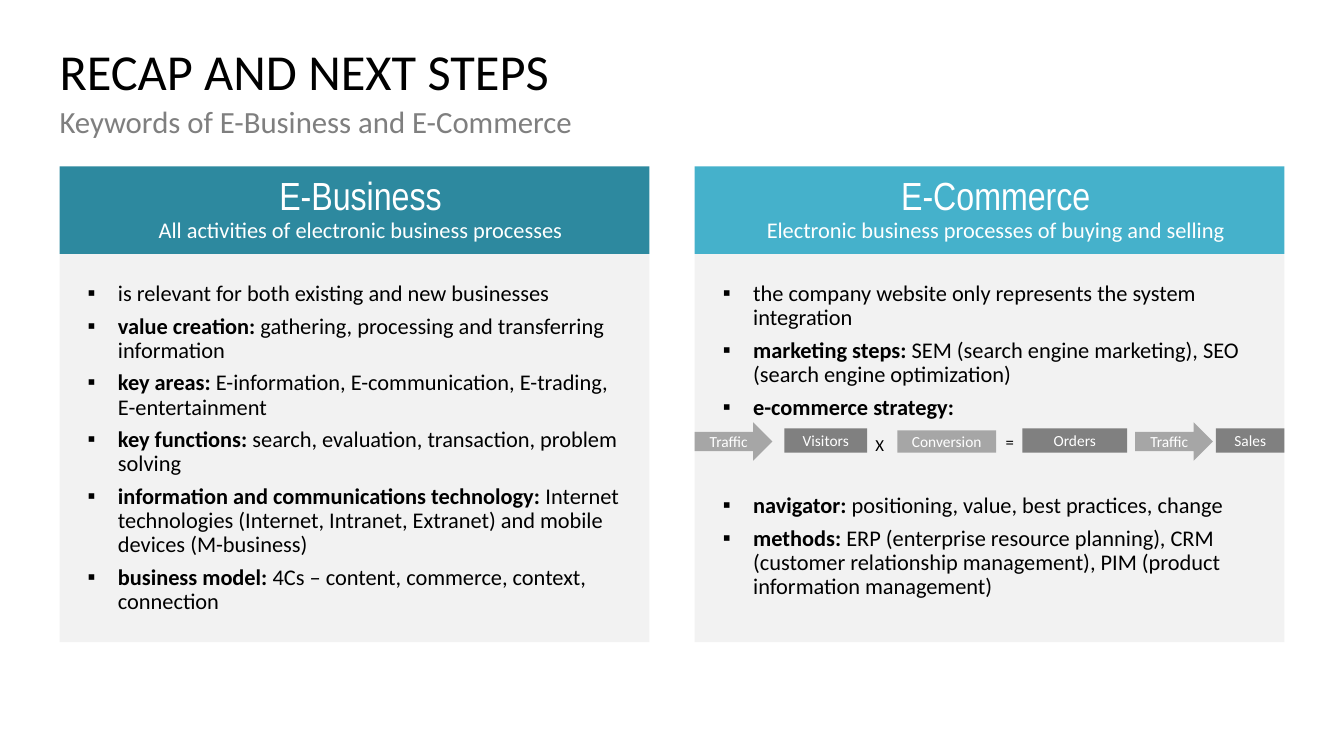
from lxml.etree import SubElement
from pptx import Presentation
from pptx.dml.color import RGBColor
from pptx.enum.shapes import MSO_SHAPE
from pptx.enum.text import MSO_ANCHOR, PP_ALIGN
from pptx.oxml.ns import qn
from pptx.util import Inches, Pt

BLACK = RGBColor(0x00, 0x00, 0x00)
WHITE = RGBColor(0xFF, 0xFF, 0xFF)
SUBTITLE_GRAY = RGBColor(0x7F, 0x7F, 0x7F)
DARK_GRAY = RGBColor(0x80, 0x80, 0x80)
MID_GRAY = RGBColor(0xA6, 0xA6, 0xA6)
PANEL_GRAY = RGBColor(0xF2, 0xF2, 0xF2)
TEAL = RGBColor(0x2D, 0x89, 0x9F)
LIGHT_TEAL = RGBColor(0x45, 0xB1, 0xCB)

LEFT, CONTENT_WIDTH = 0.59, 12.15
COLUMN_WIDTH, COLUMN_STEP = 5.85, 6.3
HEADER_TOP, HEADER_HEIGHT, BODY_HEIGHT = 1.65, 0.87, 3.85
STRATEGY_GAP = 47  # points kept free for the strategy row

# Each column: colour, heading, description, bullets (keyword, text, points before)
COLUMNS = [
    (TEAL, "E-Business", "All activities of electronic business processes", [
        ("", "is relevant for both existing and new businesses", 0),
        ("value creation: ", "gathering, processing and transferring information", 0),
        ("key areas: ", "E-information, E-communication, E-trading, E-entertainment", 0),
        ("key functions: ", "search, evaluation, transaction, problem solving", 0),
        ("information and communications technology: ",
         "Internet technologies (Internet, Intranet, Extranet) and mobile devices (M-business)", 0),
        ("business model: ", "4Cs – content, commerce, context, connection", 0),
    ]),
    (LIGHT_TEAL, "E-Commerce", "Electronic business processes of buying and selling", [
        ("", "the company website only represents the system integration", 0),
        ("marketing steps: ", "SEM (search engine marketing), SEO (search engine optimization)", 0),
        ("e-commerce strategy:", "", 0),
        ("navigator: ", "positioning, value, best practices, change", STRATEGY_GAP),
        ("methods: ", "ERP (enterprise resource planning), CRM (customer relationship "
                      "management), PIM (product information management)", 0),
    ]),
]

ARROW, BOX = MSO_SHAPE.RIGHT_ARROW, MSO_SHAPE.RECTANGLE
STRATEGY_STEPS = [
    (ARROW, "Traffic", MID_GRAY, (6.89, 4.19, 0.77, 0.38)),
    (BOX, "Visitors", DARK_GRAY, (7.78, 4.25, 0.82, 0.24)),
    (BOX, "Conversion", MID_GRAY, (8.9, 4.27, 0.98, 0.22)),
    (BOX, "Orders", DARK_GRAY, (10.14, 4.25, 1.04, 0.24)),
    (ARROW, "Traffic", MID_GRAY, (11.26, 4.19, 0.77, 0.38)),
    (BOX, "Sales", DARK_GRAY, (12.06, 4.25, 0.68, 0.24)),
]
OPERATORS = [("X", (8.6, 4.26, 0.25, 0.3)), ("=", (9.89, 4.23, 0.25, 0.3))]


class SlideBuilder:
    """Holds the slide and its text style."""

    font_name = "Calibri"
    line_spacing = 0.9

    def __init__(self, slide):
        self.slide = slide

    def frame(self, shape, insets=(0, 0, 0, 0), anchor=MSO_ANCHOR.TOP):
        """Prepare a text frame; insets are left, top, right, bottom."""
        frame = shape.text_frame
        frame.word_wrap = True
        frame.vertical_anchor = anchor
        (frame.margin_left, frame.margin_top,
         frame.margin_right, frame.margin_bottom) = map(Inches, insets)
        return frame

    def run(self, paragraph, text, size, color, bold=False, font_name=None):
        run = paragraph.add_run()
        run.text = text
        run.font.name = font_name or self.font_name
        run.font.size = Pt(size)
        run.font.bold = bold
        run.font.color.rgb = color

    def text(self, text, place, size, color, centered=False):
        box = self.slide.shapes.add_textbox(*map(Inches, place))
        frame = self.frame(box, anchor=MSO_ANCHOR.MIDDLE if centered else MSO_ANCHOR.TOP)
        paragraph = frame.paragraphs[0]
        if centered:
            paragraph.alignment = PP_ALIGN.CENTER
        else:
            paragraph.line_spacing = self.line_spacing
        self.run(paragraph, text, size, color)

    def shape(self, kind, place, fill):
        shape = self.slide.shapes.add_shape(kind, *map(Inches, place))
        shape.shadow.inherit = False
        shape.fill.solid()
        shape.fill.fore_color.rgb = fill
        shape.line.fill.background()
        return shape

    def step(self, kind, label, fill, place):
        frame = self.frame(self.shape(kind, place, fill), anchor=MSO_ANCHOR.MIDDLE)
        paragraph = frame.paragraphs[0]
        paragraph.alignment = PP_ALIGN.CENTER
        self.run(paragraph, label, 11, WHITE)

    def header(self, place, fill, heading, description):
        shape = self.shape(BOX, place, fill)
        frame = self.frame(shape, (0.28, 0, 0.16, 0), MSO_ANCHOR.MIDDLE)
        first, second = frame.paragraphs[0], frame.add_paragraph()
        for paragraph in (first, second):
            paragraph.alignment = PP_ALIGN.CENTER
            paragraph.line_spacing = self.line_spacing
        second.space_after = Pt(10)
        self.run(first, heading, 28, WHITE, font_name="Arial Narrow")
        self.run(second, description, 16, WHITE)

    def bullet(self, paragraph):
        """Add a square bullet with a hanging indent."""
        properties = paragraph._p.get_or_add_pPr()
        properties.set("marL", str(Inches(0.3)))
        properties.set("indent", str(Inches(-0.3)))
        SubElement(properties, qn("a:buFont"), typeface="Arial")
        SubElement(properties, qn("a:buChar"), char="▪")

    def bullet_panel(self, place, bullets):
        frame = self.frame(self.shape(BOX, place, PANEL_GRAY), (0.28,) * 4)
        for index, (keyword, text, space_before) in enumerate(bullets):
            paragraph = frame.add_paragraph() if index else frame.paragraphs[0]
            self.bullet(paragraph)
            paragraph.alignment = PP_ALIGN.LEFT
            paragraph.line_spacing = self.line_spacing
            paragraph.space_before = Pt(space_before)
            paragraph.space_after = Pt(6)
            if keyword:
                self.run(paragraph, keyword, 16, BLACK, bold=True)
            if text:
                self.run(paragraph, text, 16, BLACK)


def main():
    presentation = Presentation()
    presentation.slide_width = Inches(13.33)
    presentation.slide_height = Inches(7.5)
    builder = SlideBuilder(presentation.slides.add_slide(presentation.slide_layouts[6]))

    builder.text("RECAP AND NEXT STEPS", (LEFT, 0.47, CONTENT_WIDTH, 0.59), 36, BLACK)
    builder.text("Keywords of E-Business and E-Commerce",
                 (LEFT, 1.06, CONTENT_WIDTH, 0.59), 22, SUBTITLE_GRAY)

    for index, (color, heading, description, bullets) in enumerate(COLUMNS):
        left = LEFT + index * COLUMN_STEP
        builder.header((left, HEADER_TOP, COLUMN_WIDTH, HEADER_HEIGHT),
                       color, heading, description)
        builder.bullet_panel((left, HEADER_TOP + HEADER_HEIGHT, COLUMN_WIDTH, BODY_HEIGHT),
                             bullets)

    for kind, label, fill, place in STRATEGY_STEPS:
        builder.step(kind, label, fill, place)
    for symbol, place in OPERATORS:
        builder.text(symbol, place, 12, BLACK, centered=True)

    presentation.save("out.pptx")


if __name__ == "__main__":
    main()
